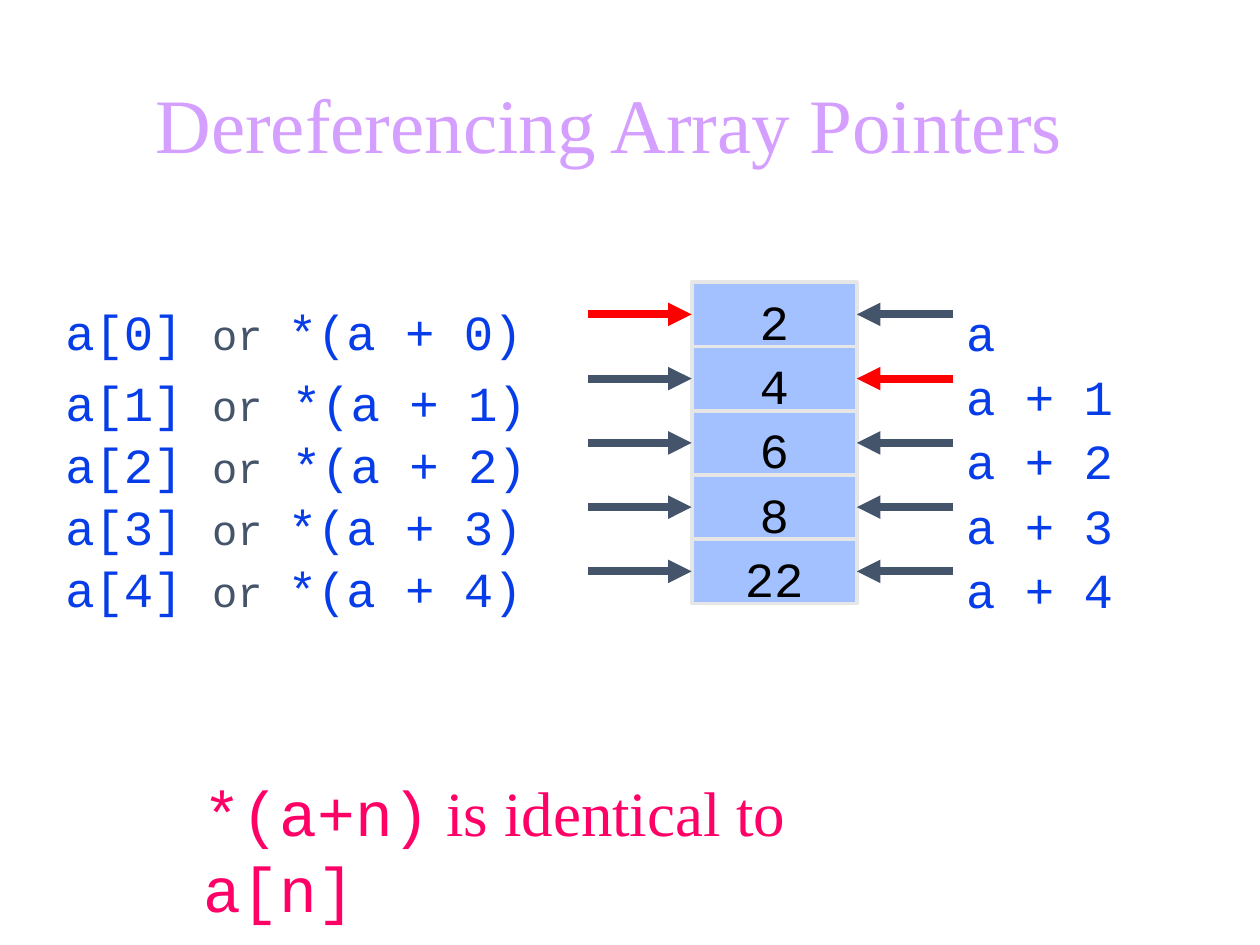
from pptx import Presentation
from pptx.dml.color import RGBColor
from pptx.enum.shapes import MSO_CONNECTOR as Conn, MSO_SHAPE as Shape
from pptx.enum.text import MSO_ANCHOR as Anchor, PP_ALIGN as Align
from pptx.oxml.ns import qn
from pptx.util import Inches, Pt
from lxml.etree import SubElement as Sub

BLACK = RGBColor(0x00, 0x00, 0x00)
BLUE = RGBColor(0x06, 0x3D, 0xE8)
SKY = RGBColor(0xA2, 0xC1, 0xFE)
EDGE = RGBColor(0xE7, 0xE6, 0xE6)
SLATE = RGBColor(0x44, 0x54, 0x6A)
RED = RGBColor(0xFF, 0x00, 0x00)
PINK = RGBColor(0xFF, 0x00, 0x66)
LILAC = RGBColor(0xD4, 0x9F, 0xFF)
MONO, SERIF = "Courier New", "Times New Roman"
TOP, STEP, LEFT, WIDE = 2.24, 0.51, 5.49, 1.31
VALUES = ["2", "4", "6", "8", "22"]


def style(name, size, color):
    """Return the font values of a run."""
    return {"name": name, "size": Pt(size), "color": color}


CODE = style(MONO, 28, BLUE)
WORD = style(MONO, 24, SLATE)


def write(shape, runs, align=Align.LEFT, **frame):
    """Fill a shape with one paragraph of styled runs."""
    text = shape.text_frame
    for key, val in frame.items():
        setattr(text, key, val)
    para = text.paragraphs[0]
    para.alignment = align
    for words, form in runs:
        run = para.add_run()
        run.text = words
        for key, val in form.items():
            if key == "color":
                run.font.color.rgb = val
            else:
                setattr(run.font, key, val)


def label(slide, box, runs, **form):
    """Add a text box with the given runs."""
    shape = slide.shapes.add_textbox(*map(Inches, box))
    write(shape, runs, **{"word_wrap": True, **form})


def cell(slide, top, value):
    """Add one array cell and return it."""
    box = map(Inches, (LEFT, top, WIDE, STEP))
    shape = slide.shapes.add_shape(Shape.RECTANGLE, *box)
    shape.shadow.inherit = False
    shape.fill.solid()
    shape.fill.fore_color.rgb = SKY
    shape.line.color.rgb = EDGE
    shape.line.width = Pt(2)
    write(shape, [(value, style(MONO, 28, BLACK))], Align.CENTER,
          word_wrap=False, vertical_anchor=Anchor.MIDDLE,
          margin_top=Inches(0.15))
    return shape


def arrow(slide, start, goal, site, color):
    """Point an arrow from a horizontal position to a side of a cell."""
    mid = goal.top + goal.height // 2
    line = slide.shapes.add_connector(
        Conn.STRAIGHT, Inches(start), mid, goal.left, mid)
    line.end_connect(goal, site)
    line.line.color.rgb = color
    line.line.width = Pt(4.5)
    Sub(line.line._get_or_add_ln(), qn("a:tailEnd"), type="triangle")
    Sub(line._element.spPr, qn("a:effectLst"))


def main():
    """Build and save the slide."""
    deck = Presentation()
    deck.slide_width, deck.slide_height = Inches(10), Inches(7.5)
    slide = deck.slides.add_slide(deck.slide_layouts[6])

    label(slide, (0.53, 0.64, 8.61, 0.75),
          [("Dereferencing Array Pointers", style(SERIF, 44, LILAC))],
          align=Align.CENTER, vertical_anchor=Anchor.BOTTOM)

    cells = [cell(slide, TOP + STEP * i, val) for i, val in enumerate(VALUES)]
    inset = Inches(0.15)
    for i, box in enumerate(cells):
        arrow(slide, 4.67, box, 1, RED if i == 0 else SLATE)
        arrow(slide, 7.56, box, 3, RED if i == 1 else SLATE)
        name = f"a + {i}" if i else "a"
        label(slide, (7.57, TOP + 0.01 + STEP * i, 1.58, 0.57),
              [(name, CODE)], margin_top=inset)
        top = 2.32 + 0.49 * i if i else TOP
        gap = [("or", WORD), (" ", CODE)] if i in (1, 2) else [("or ", WORD)]
        label(slide, (0.42, top, 4.25, 0.57),
              [(f"a[{i}] ", CODE), *gap, (f"*(a + {i})", CODE)],
              margin_top=inset)

    code, prose = style(MONO, 36, PINK), style(SERIF, 36, PINK)
    label(slide, (1.52, 6.09, 6.14, 0.7),
          [("*(a+n)", code), (" is identical to ", prose), ("a[n]", code)],
          word_wrap=False)
    deck.save("out.pptx")


if __name__ == "__main__":
    main()
